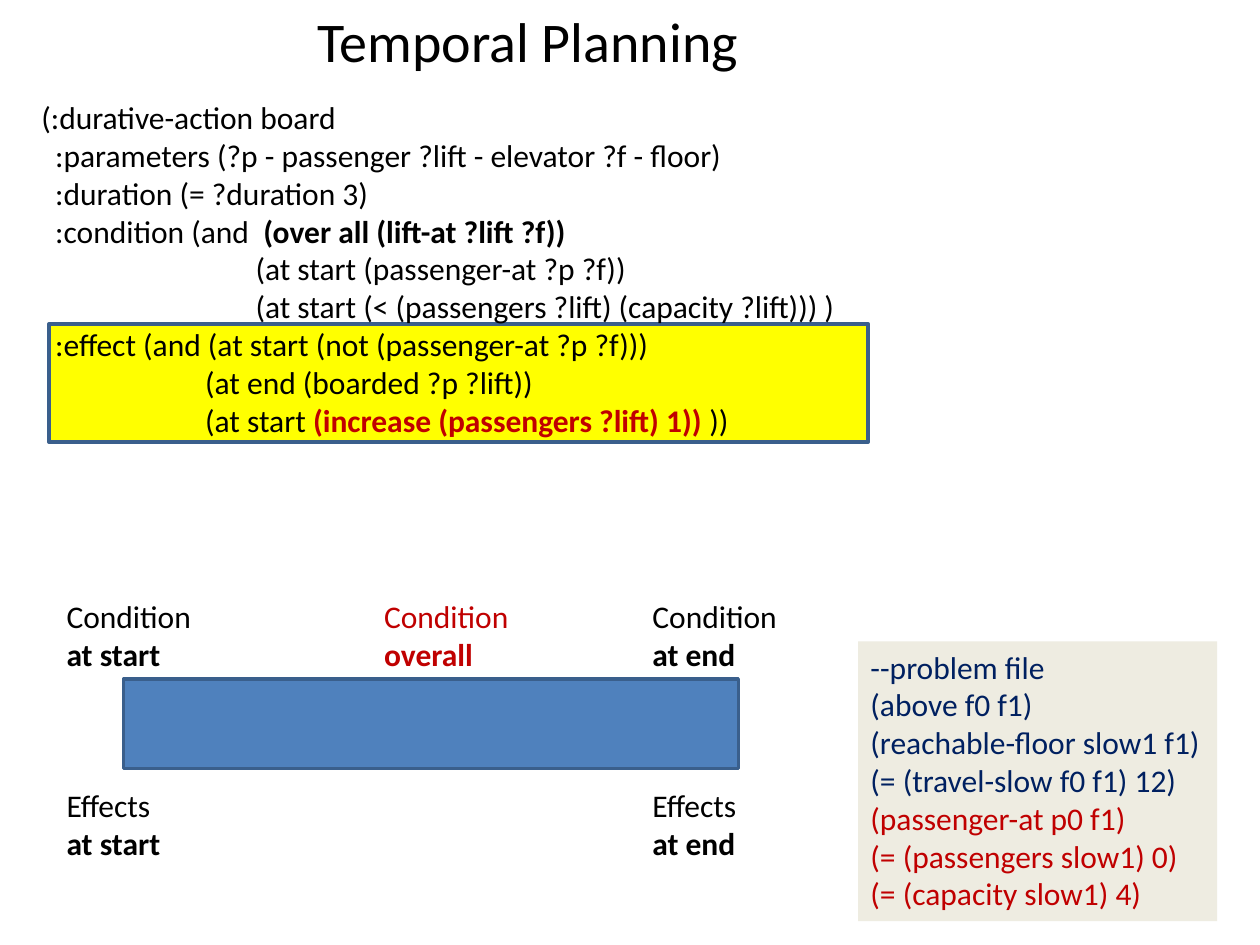
from dataclasses import dataclass

from pptx import Presentation
from pptx import util as u
from pptx.dml.color import RGBColor
from pptx.enum import shapes, text


@dataclass(frozen=True)
class Theme:
    font: str = "Calibri"
    title_size: int = 32
    body_size: int = 18
    black: str = "000000"
    red: str = "C00000"
    navy: str = "002060"
    yellow: str = "FFFF00"
    blue: str = "4F81BD"
    border: str = "3A5F8C"
    cream: str = "EEECE1"


@dataclass(frozen=True)
class Area:
    left: float
    top: float
    width: float
    height: float

    def lengths(self) -> list[int]:
        return [u.Inches(n) for n in (self.left, self.top, self.width, self.height)]


@dataclass(frozen=True)
class Span:
    words: str
    color: str = "000000"
    bold: bool = False


@dataclass(frozen=True)
class Line:
    spans: tuple[Span, ...]
    indent: float = 0


@dataclass(frozen=True)
class Label:
    column: int
    row: int
    heading: str
    moment: str
    color: str = "000000"


THEME = Theme()

deck = Presentation()
deck.slide_width, deck.slide_height = u.Inches(10), u.Inches(7.5)
page = deck.slides.add_slide(deck.slide_layouts[6])


def add_panel(area: Area, fill: str, border: str | None = None):
    """Draw a filled rectangle, with a border if a colour is given."""
    panel = page.shapes.add_shape(shapes.MSO_SHAPE.RECTANGLE, *area.lengths())
    panel.shadow.inherit = False
    panel.fill.solid()
    panel.fill.fore_color.rgb = RGBColor.from_string(fill)
    if border:
        panel.line.color.rgb = RGBColor.from_string(border)
        panel.line.width = u.Pt(2)
    else:
        panel.line.fill.background()
    return panel


def write(box, lines: list[Line], *, size: int = THEME.body_size, wrap: bool = True) -> None:
    """Fill a shape with left-aligned lines, one paragraph each."""
    frame = box.text_frame
    frame.word_wrap = wrap
    frame.vertical_anchor = text.MSO_ANCHOR.TOP
    for index, line in enumerate(lines):
        para = frame.paragraphs[0] if index == 0 else frame.add_paragraph()
        para.alignment = text.PP_ALIGN.LEFT
        if line.indent:
            properties = para._p.get_or_add_pPr()
            properties.set("marL", str(u.Inches(line.indent)))
            properties.set("indent", "0")
        for span in line.spans:
            run = para.add_run()
            run.text = span.words
            run.font.name = THEME.font
            run.font.size = u.Pt(size)
            run.font.bold = span.bold
            run.font.color.rgb = RGBColor.from_string(span.color)


def add_text(area: Area, lines: list[Line], *, size: int = THEME.body_size) -> None:
    write(page.shapes.add_textbox(*area.lengths()), lines, size=size)


def plain(words: str, indent: float = 0, color: str = THEME.black) -> Line:
    return Line((Span(words, color),), indent)


# Effect highlight and title
add_panel(Area(0.39, 2.57, 6.5, 0.94), THEME.yellow, THEME.border)
add_text(Area(2.42, 0, 7.03, 0.64), [plain("Temporal Planning")], size=THEME.title_size)

# Action definition
CLAUSE, CONDITION, EFFECT = 0.11, 1.7, 1.3
add_text(Area(0.23, 0.73, 9.61, 3.13), [
    plain("(:durative-action board"),
    plain(":parameters (?p - passenger ?lift - elevator ?f - floor)", CLAUSE),
    plain(":duration (= ?duration 3)", CLAUSE),
    Line((Span(":condition (and  "),
          Span("(over all (lift-at ?lift ?f))", bold=True)), CLAUSE),
    plain("(at start (passenger-at ?p ?f))", CONDITION),
    plain("(at start (< (passengers ?lift) (capacity ?lift))) )", CONDITION),
    plain(":effect (and (at start (not (passenger-at ?p ?f)))", CLAUSE),
    plain("(at end (boarded ?p ?lift))", EFFECT),
    Line((Span("(at start "),
          Span("(increase (passengers ?lift) 1)) ", THEME.red, True),
          Span("))")), EFFECT),
])

# Problem file
static_facts = ["--problem file", "(above f0 f1)", "(reachable-floor slow1 f1)",
                "(= (travel-slow f0 f1) 12)"]
initial_state = ["(passenger-at p0 f1)", "(= (passengers slow1) 0)", "(= (capacity slow1) 4)"]
problem = add_panel(Area(6.81, 5.09, 2.85, 2.22), THEME.cream)
write(problem,
      [plain(fact, color=THEME.navy) for fact in static_facts]
      + [plain(fact, color=THEME.red) for fact in initial_state], wrap=False)

# Action bar with its conditions above and effects below
add_panel(Area(0.98, 5.39, 4.88, 0.71), THEME.blue, THEME.border)
COLUMNS, ROWS = (0.43, 2.95, 5.08), (4.69, 6.19)
for label in (
    Label(0, 0, "Condition", "at start"),
    Label(2, 0, "Condition", "at end"),
    Label(0, 1, "Effects", "at start"),
    Label(2, 1, "Effects", "at end"),
    Label(1, 0, "Condition", "overall", THEME.red),
):
    add_text(Area(COLUMNS[label.column], ROWS[label.row], 1.34, 0.71), [
        plain(label.heading, color=label.color),
        Line((Span(label.moment, label.color, True),)),
    ])

deck.save("out.pptx")
